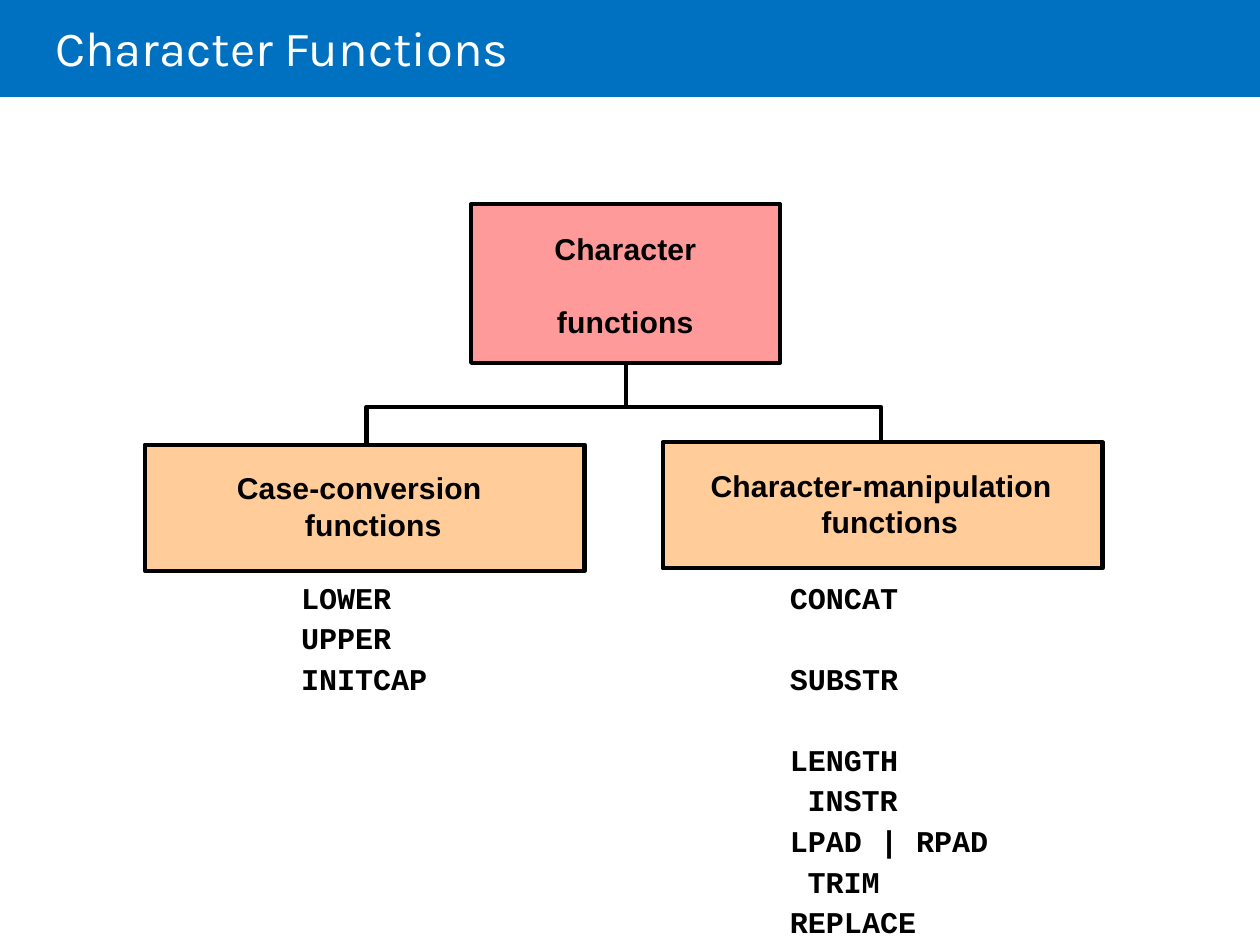
from lxml import etree
from pptx import Presentation
from pptx.dml.color import RGBColor
from pptx.enum import shapes, text
from pptx.oxml import ns
from pptx.util import Inches, Pt


def color(value):
    return RGBColor.from_string(value)


def write(shape, lines, font="Arial", size=17.2, fill="000000", bold=True,
          pitch=None, spacing=0, top=0.01, anchor=text.MSO_ANCHOR.TOP):
    frame = shape.text_frame
    frame.word_wrap = True
    frame.vertical_anchor = anchor
    frame.margin_left = frame.margin_right = frame.margin_bottom = 0
    frame.margin_top = Inches(top)
    for index, (words, indent, before) in enumerate(lines):
        paragraph = frame.paragraphs[0] if index == 0 else frame.add_paragraph()
        paragraph.alignment = text.PP_ALIGN.LEFT
        paragraph.space_before = Pt(before)
        if pitch:
            paragraph.line_spacing = Pt(pitch)
        properties = paragraph._p.get_or_add_pPr()
        properties.set("marL", str(Inches(indent)))
        properties.set("indent", "0")
        run = paragraph.add_run()
        run.text = words
        run.font.name = font
        run.font.size = Pt(size)
        run.font.bold = bold
        run.font.color.rgb = color(fill)
        run._r.get_or_add_rPr().set("spc", str(spacing))


presentation = Presentation()
presentation.slide_width = Inches(10)
presentation.slide_height = Inches(7.5)
slide = presentation.slides.add_slide(presentation.slide_layouts[6])

banner = slide.shapes.add_shape(
    shapes.MSO_SHAPE.RECTANGLE, 0, 0, Inches(10), Inches(0.77))
banner.shadow.inherit = False
banner.fill.solid()
banner.fill.fore_color.rgb = color("0070C0")
banner.line.fill.background()

title = slide.shapes.add_textbox(Inches(0.43), Inches(0.13), Inches(6.28), Inches(0.48))
write(title, [("Character Functions", 0.01, 0)], font="Karla", size=28,
      fill="FFFFFF", bold=False, anchor=text.MSO_ANCHOR.MIDDLE)

stem = slide.shapes.add_connector(
    shapes.MSO_CONNECTOR.STRAIGHT, Inches(4.97), Inches(2.88), Inches(4.97), Inches(3.23))
etree.SubElement(stem._element.spPr, ns.qn("a:effectLst"))

builder = slide.shapes.build_freeform(Inches(2.91), Inches(3.53))
builder.add_line_segments(
    [(Inches(x), Inches(y)) for x, y in [(2.91, 3.23), (6.99, 3.23), (6.99, 3.51)]],
    close=False)
branch = builder.convert_to_shape()
branch.shadow.inherit = False
branch.fill.background()

for line in (stem.line, branch.line):
    line.color.rgb = color("000000")
    line.width = Pt(2.46)

boxes = [
    (3.74, 1.62, 2.45, 1.26, "FF9A9A", 0.21,
     [("Character", 0.66, 0), ("functions", 0.68, 21)]),
    (1.15, 3.53, 3.49, 1, "FFCC9A", 0.2,
     [("Case-conversion", 0.73, 0), ("functions", 1.27, 0)]),
    (5.26, 3.51, 3.49, 1, "FFCC9A", 0.2,
     [("Character-manipulation", 0.38, 0), ("functions", 1.26, 0)]),
]
for left, top, width, height, fill, inset, lines in boxes:
    box = slide.shapes.add_shape(
        shapes.MSO_SHAPE.RECTANGLE, Inches(left), Inches(top), Inches(width), Inches(height))
    box.shadow.inherit = False
    box.fill.solid()
    box.fill.fore_color.rgb = color(fill)
    box.line.color.rgb = color("000000")
    box.line.width = Pt(2.46)
    write(box, lines, pitch=20.6, spacing=10, top=inset)

pitch = 23.2
function_lists = [
    (2.38, 1.2, 0.98, [("LOWER", 0.01, 0), ("UPPER", 0.01, 0), ("INITCAP", 0.01, 0)]),
    (6.26, 1.8, 2.9, [("CONCAT", 0.01, 0), ("SUBSTR", 0.01, pitch), ("LENGTH", 0.01, pitch),
                      ("INSTR", 0.15, 0), ("LPAD | RPAD", 0.01, 0), ("TRIM", 0.15, 0),
                      ("REPLACE", 0.01, 0)]),
]
for left, width, height, lines in function_lists:
    function_list = slide.shapes.add_textbox(
        Inches(left), Inches(4.55), Inches(width), Inches(height))
    write(function_list, lines, font="Courier New", pitch=pitch)

presentation.save("out.pptx")
